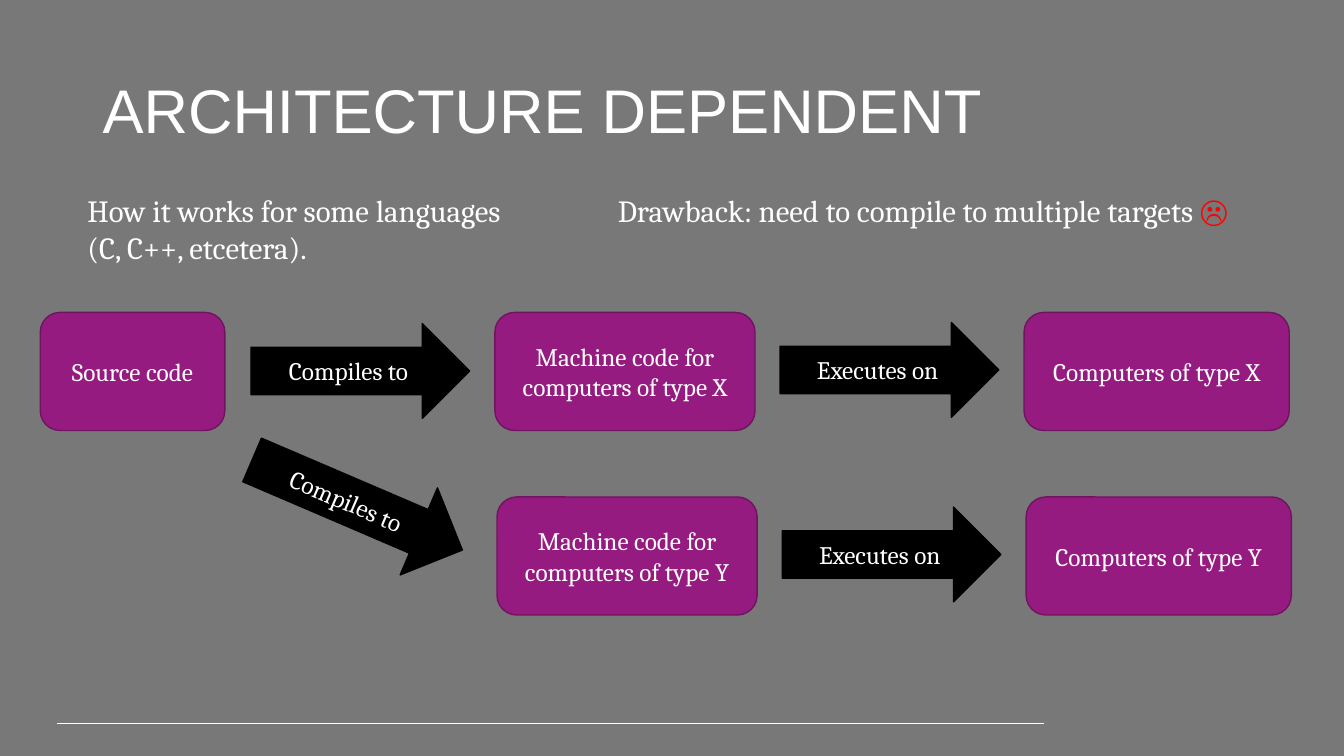
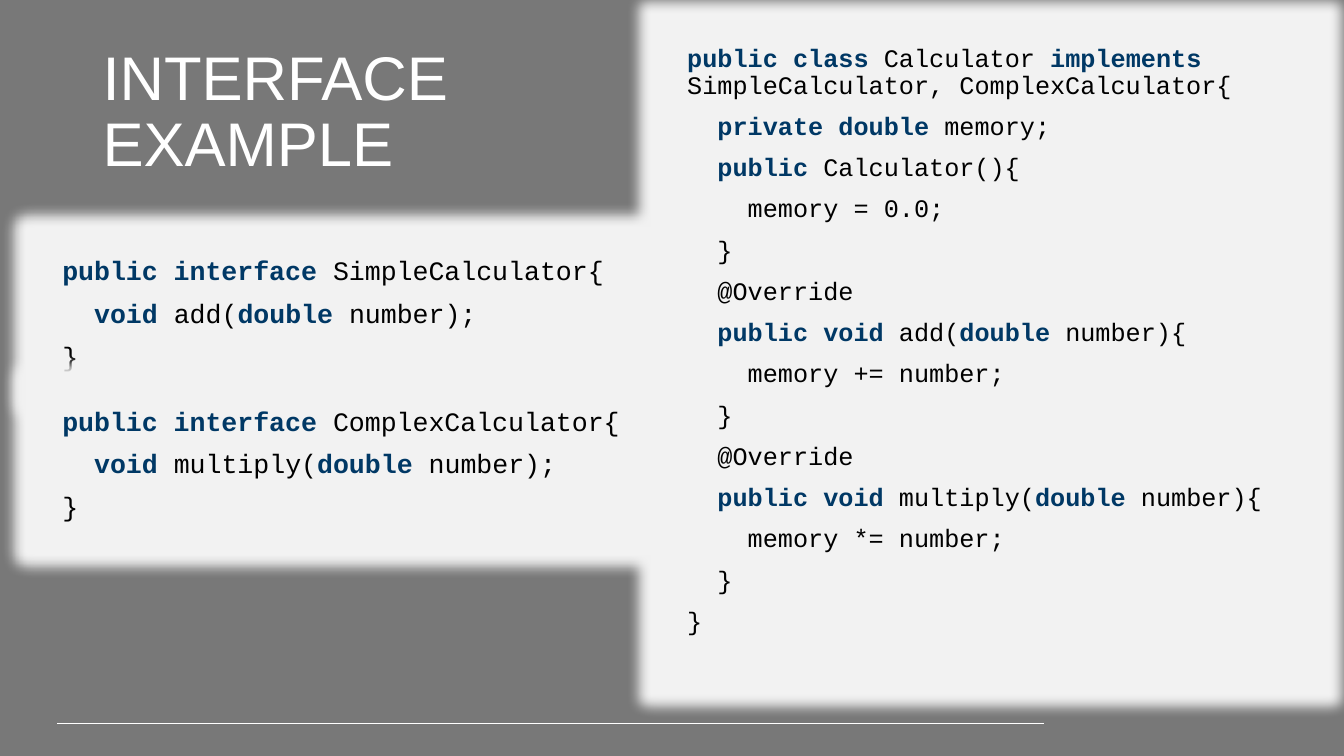
from lxml.etree import SubElement
from pptx import Presentation
from pptx.dml.color import RGBColor
from pptx.enum.shapes import MSO_CONNECTOR, MSO_SHAPE
from pptx.enum.text import MSO_ANCHOR, PP_ALIGN
from pptx.oxml.ns import qn
from pptx.util import Pt

GREY = RGBColor(0x78, 0x78, 0x78)
WHITE = RGBColor(0xFF, 0xFF, 0xFF)
BLACK = RGBColor(0x00, 0x00, 0x00)
RED = RGBColor(0xFF, 0x00, 0x00)
PURPLE = RGBColor(0x96, 0x1B, 0x81)
DARK_PURPLE = RGBColor(0x6F, 0x14, 0x5F)
PANEL = RGBColor(0xF2, 0xF2, 0xF2)
NAVY = RGBColor(0x00, 0x38, 0x65)

TITLE_FONT, BODY_FONT, CODE_FONT = "Arial", "Cambria", "Courier New"
GLOW_RADIUS = Pt(18)
ARROW_HEIGHT = 67.7

# Code: (indent level, text), with keywords between backticks
CALCULATOR = [
    (0, "`public class` Calculator `implements `"
        "SimpleCalculator, ComplexCalculator{"),
    (1, "`private double` memory;"),
    (1, "`public` Calculator(){"),
    (2, "memory = 0.0;"),
    (1, "}"),
    (1, "@Override"),
    (1, "`public void` add(`double` number){"),
    (2, "memory += number;"),
    (1, "}"),
    (1, "@Override"),
    (1, "`public void` multiply(`double` number){"),
    (2, "memory *= number;"),
    (1, "}"),
    (0, "}"),
]


def interface_code(name, method):
    return [
        (0, f"`public interface `{name}{{"),
        (1, f"`void` {method}(`double` number);"),
        (0, "}"),
    ]


def style_run(run, font_name, size, color, bold=False):
    run.font.name = font_name
    run.font.size = Pt(size)
    run.font.color.rgb = color
    run.font.bold = bold


def add_text(slide, box, text, font_name, size):
    frame = slide.shapes.add_textbox(*map(Pt, box)).text_frame
    frame.word_wrap = True
    frame.text = text
    for run in frame.paragraphs[0].runs:
        style_run(run, font_name, size, WHITE)
    return frame


def add_slide(prs, title, title_width):
    """Slide with the shared title and the rule at the foot."""
    slide = prs.slides.add_slide(prs.slide_layouts[6])
    rule = slide.shapes.add_connector(
        MSO_CONNECTOR.STRAIGHT, Pt(41), Pt(517), Pt(746), Pt(517))
    rule.line.color.rgb = WHITE
    rule.line.width = Pt(0.75)
    SubElement(rule._element.spPr, qn("a:effectLst"))

    frame = add_text(slide, (66.2, 28.8, title_width, 104.4),
                     title, TITLE_FONT, 44)
    frame.vertical_anchor = MSO_ANCHOR.MIDDLE
    frame.paragraphs[0].line_spacing = 0.9
    return slide


def add_flow_shape(slide, preset, box, text, fill, outline):
    shape = slide.shapes.add_shape(preset, *map(Pt, box))
    shape.fill.solid()
    shape.fill.fore_color.rgb = fill
    shape.line.color.rgb = outline
    shape.line.width = Pt(1)
    shape.shadow.inherit = False
    frame = shape.text_frame
    frame.word_wrap = True
    frame.vertical_anchor = MSO_ANCHOR.MIDDLE
    frame.text = text
    frame.paragraphs[0].alignment = PP_ALIGN.CENTER
    style_run(frame.paragraphs[0].runs[0], BODY_FONT, 18, WHITE)
    return shape


def add_box(slide, left, top, width, text):
    add_flow_shape(slide, MSO_SHAPE.ROUNDED_RECTANGLE,
                   (left, top, width, 84.3), text, PURPLE, DARK_PURPLE)


def add_arrow(slide, left, top, text, width=156.2, rotation=0):
    arrow = add_flow_shape(slide, MSO_SHAPE.RIGHT_ARROW,
                           (left, top, width, ARROW_HEIGHT),
                           text, BLACK, BLACK)
    arrow.rotation = rotation


def add_target_row(slide, left, top, target):
    """Machine code, arrow and computers for one type of machine."""
    add_box(slide, left, top, 185.8, f"Machine code for computers of type {target}")
    add_arrow(slide, left + 203.8, top + 7.2, "Executes on")
    add_box(slide, left + 378, top, 189.4, f"Computers of type {target}")


def add_code_panel(slide, box, code, size):
    panel = slide.shapes.add_shape(MSO_SHAPE.RECTANGLE, *map(Pt, box))
    panel.fill.solid()
    panel.fill.fore_color.rgb = PANEL
    panel.line.fill.background()
    panel.shadow.inherit = False
    # Soft glow in the panel colour
    effects = panel._element.spPr.find(qn("a:effectLst"))
    glow = SubElement(effects, qn("a:glow"), rad=str(int(GLOW_RADIUS)))
    SubElement(glow, qn("a:srgbClr"), val=str(PANEL))

    frame = panel.text_frame
    frame.word_wrap = True
    frame.vertical_anchor = MSO_ANCHOR.TOP
    for number, (level, line) in enumerate(code):
        paragraph = frame.add_paragraph() if number else frame.paragraphs[0]
        paragraph.alignment = PP_ALIGN.LEFT
        paragraph.line_spacing = 0.9
        paragraph.space_before = Pt(10)
        # One level is two characters, each 0.6 of the size wide
        properties = paragraph._p.get_or_add_pPr()
        properties.set("marL", str(int(Pt(level * 1.2 * size))))
        properties.set("indent", "0")
        for part, text in enumerate(line.split("`")):
            if text:
                keyword = part % 2 == 1
                run = paragraph.add_run()
                run.text = text
                style_run(run, CODE_FONT, size,
                          NAVY if keyword else BLACK, keyword)


def build_architecture(prs):
    slide = add_slide(prs, "ARCHITECTURE DEPENDENT", 828)
    # Flow from source code to both targets
    add_box(slide, 28.8, 223.2, 131.8, "Source code")
    add_arrow(slide, 179.3, 231.1, "Compiles to")
    add_arrow(slide, 173.5, 326.9, "Compiles to", width=163.4, rotation=23.2)
    add_target_row(slide, 353.5, 223.2, "X")
    add_target_row(slide, 355, 355, "Y")
    # Remarks
    add_text(slide, (55.4, 133.2, 314.6, 60.5),
             "How it works for some languages (C, C++, etcetera).",
             BODY_FONT, 22)
    drawback = add_text(slide, (434.2, 133.2, 486.7, 33.8),
                        "Drawback: need to compile to multiple targets ",
                        BODY_FONT, 22)
    frown = drawback.paragraphs[0].add_run()
    frown.text = "☹"
    style_run(frown, BODY_FONT, 22, RED)


def build_interface(prs):
    slide = add_slide(prs, "INTERFACE\vEXAMPLE", 377.3)
    add_code_panel(slide, (483.8, 28.8, 447.8, 449.3), CALCULATOR, 18)
    interfaces = [("SimpleCalculator", "add"), ("ComplexCalculator", "multiply")]
    for row, (name, method) in enumerate(interfaces):
        add_code_panel(slide, (37.4, 180.7 + row * 107.3, 414.9, 89.3),
                       interface_code(name, method), 19)


def main():
    prs = Presentation()
    prs.slide_width, prs.slide_height = Pt(960), Pt(540)
    background = prs.slide_master.background.fill
    background.solid()
    background.fore_color.rgb = GREY
    build_architecture(prs)
    build_interface(prs)
    prs.save("out.pptx")


if __name__ == "__main__":
    main()
